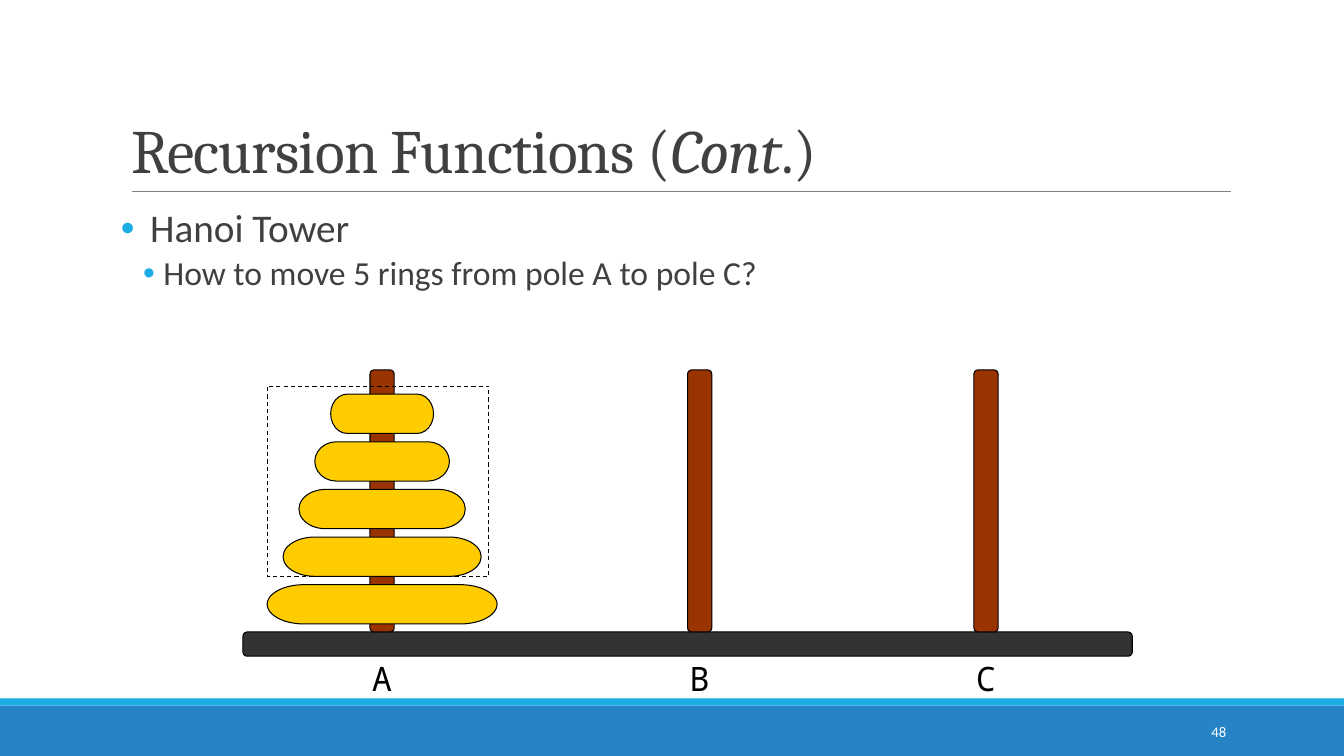
from lxml.etree import SubElement
from pptx import Presentation
from pptx.dml.color import RGBColor
from pptx.enum.dml import MSO_LINE
from pptx.enum.shapes import MSO_CONNECTOR, MSO_SHAPE as SHAPE
from pptx.enum.text import MSO_ANCHOR as ANCHOR, MSO_AUTO_SIZE as AUTO, PP_ALIGN as ALIGN
from pptx.oxml.ns import qn
from pptx.util import Inches, Pt

COLORS = {
    "band": "2683C6", "accent": "1CADE4", "rule": "808080", "text": "404040",
    "pole": "993300", "base": "333333", "ring": "FFCC00",
    "black": "000000", "white": "FFFFFF",
}
POLES = {"A": 3.79, "B": 6.94, "C": 9.78}
RING_COUNT = 5
BASE_TOP = 6.27


def color(name):
    """Return the named colour."""
    return RGBColor.from_string(COLORS[name])


def inches(*lengths):
    """Convert several lengths to inches."""
    return [Inches(length) for length in lengths]


def place(shape, *box):
    """Move and size a shape."""
    shape.left, shape.top, shape.width, shape.height = inches(*box)


def style_text(para, font, size, tint):
    """Format every run of a paragraph."""
    for span in para.runs:
        span.font.name = font
        span.font.size = Pt(size)
        span.font.color.rgb = color(tint)


def add_block(shapes, kind, box, fill=None, outlined=True):
    """Add a preset shape, optionally filled and outlined."""
    block = shapes.add_shape(kind, *inches(*box))
    block.shadow.inherit = False
    if fill:
        block.fill.solid()
        block.fill.fore_color.rgb = color(fill)
    else:
        block.fill.background()
    if outlined:
        block.line.color.rgb = color("black")
        block.line.width = Pt(0.75)
    else:
        block.line.fill.background()
    return block


def add_label(page, text, box, font, size, tint):
    """Add a one-line text box and return it."""
    label = page.shapes.add_textbox(*inches(*box))
    label.text_frame.text = text
    label.text_frame.word_wrap = False
    style_text(label.text_frame.paragraphs[0], font, size, tint)
    return label


def add_frame(page):
    """Add the bottom bands, the title rule and the page number."""
    add_block(page.shapes, SHAPE.RECTANGLE, (0, 7, 13.33, 0.5), "band", False)
    add_block(page.shapes, SHAPE.RECTANGLE, (0, 6.93, 13.33, 0.07), "accent", False)
    rule = page.shapes.add_connector(MSO_CONNECTOR.STRAIGHT, *inches(1.31, 1.9, 12.21, 1.9))
    rule.line.color.rgb = color("rule")
    rule.line.width = Pt(0.5)
    SubElement(rule.element.spPr, qn("a:effectLst"))
    number = add_label(page, "48", (10.83, 7.06, 1.43, 0.4), "Calibri", 10.5, "white")
    number.text_frame.word_wrap = True
    number.text_frame.vertical_anchor = ANCHOR.MIDDLE
    number.text_frame.paragraphs[0].alignment = ALIGN.RIGHT


def fill_title(title):
    """Write the title with its italic word."""
    place(title, 1.2, 0.31, 11, 1.59)
    frame = title.text_frame
    frame.auto_size = AUTO.NONE
    frame.vertical_anchor = ANCHOR.BOTTOM
    para = frame.paragraphs[0]
    para.alignment = ALIGN.LEFT
    para.line_spacing = 0.85
    for text, italic in (("Recursion Functions (", False), ("Cont", True), (".)", False)):
        span = para.add_run()
        span.text = text
        span.font.italic = italic
        span.font._element.set("spc", "-50")
    style_text(para, "Cambria", 44, "text")


def add_bullet(para, margin, hanging):
    """Give a paragraph a coloured hanging bullet."""
    props = para._p.get_or_add_pPr()
    props.set("marL", str(Inches(margin)))
    props.set("indent", str(-Inches(hanging)))
    tint = SubElement(props, qn("a:buClr"))
    SubElement(tint, qn("a:srgbClr"), val=COLORS["accent"])
    SubElement(props, qn("a:buFont"), typeface="Arial")
    SubElement(props, qn("a:buChar"), char="•")


def fill_body(body):
    """Write the two-level list."""
    place(body, 1.2, 2.02, 11, 4.4)
    frame = body.text_frame
    frame.auto_size = AUTO.NONE
    frame.margin_left = frame.margin_right = 0
    frame.text = "Hanoi Tower\nHow to move 5 rings from pole A to pole C?"
    formats = ((28, 12, 2, 0.29, 0.29), (24, 2, 4, 0.42, 0.2))
    for level, (para, (size, before, after, margin, hanging)) in enumerate(
            zip(frame.paragraphs, formats)):
        para.level = level
        para.line_spacing = 0.9
        para.space_before, para.space_after = Pt(before), Pt(after)
        add_bullet(para, margin, hanging)
        style_text(para, "Calibri", size, "text")


def add_poles(page):
    """Add the base and the three labelled poles."""
    add_block(page.shapes, SHAPE.ROUNDED_RECTANGLE, (2.41, BASE_TOP, 8.82, 0.24), "base")
    for name, center in POLES.items():
        add_block(page.shapes, SHAPE.ROUNDED_RECTANGLE,
                  (center - 0.12, BASE_TOP - 2.6, 0.24, 2.6), "pole")
        add_label(page, name, (center - 0.2, 6.48, 0.4, 0.5), "Noto Sans Mono", 24, "black")


def add_rings(page):
    """Stack the rings on pole A, grouping those above the largest."""
    upper_rings = page.shapes.add_group_shape()
    for step in range(RING_COUNT):
        shapes = upper_rings.shapes if step else page.shapes
        width = 2.28 - 0.315 * step
        box = (POLES["A"] - width / 2, 5.8 - 0.4725 * step, width, 0.39)
        add_block(shapes, SHAPE.FLOWCHART_TERMINATOR, box, "ring")
    outline = add_block(upper_rings.shapes, SHAPE.RECTANGLE, (2.65, 3.83, 2.2, 1.89))
    outline.line.dash_style = MSO_LINE.DASH


def main():
    """Build the slide and save it."""
    deck = Presentation()
    deck.slide_width, deck.slide_height = inches(13.33, 7.5)
    page = deck.slides.add_slide(deck.slide_layouts[1])
    add_frame(page)
    fill_title(page.shapes.title)
    fill_body(page.placeholders[1])
    add_poles(page)
    add_rings(page)
    deck.save("out.pptx")


if __name__ == "__main__":
    main()
